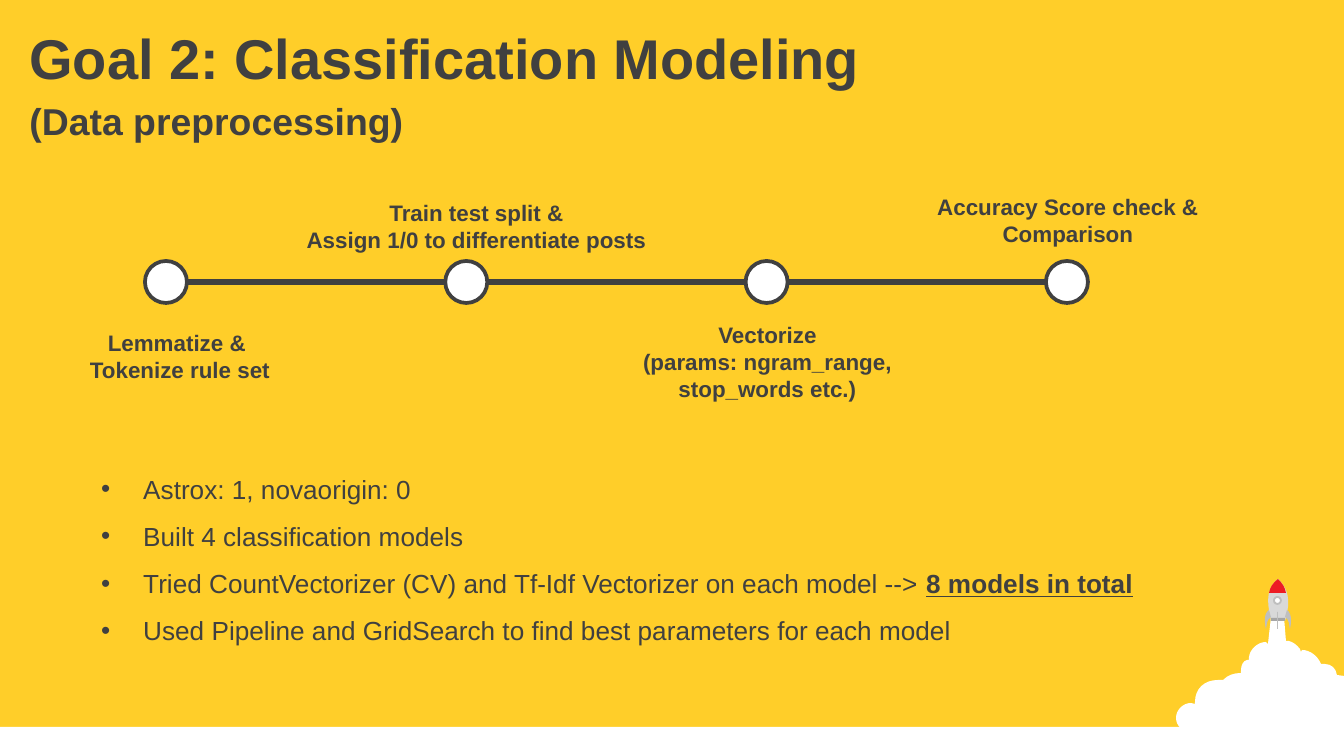
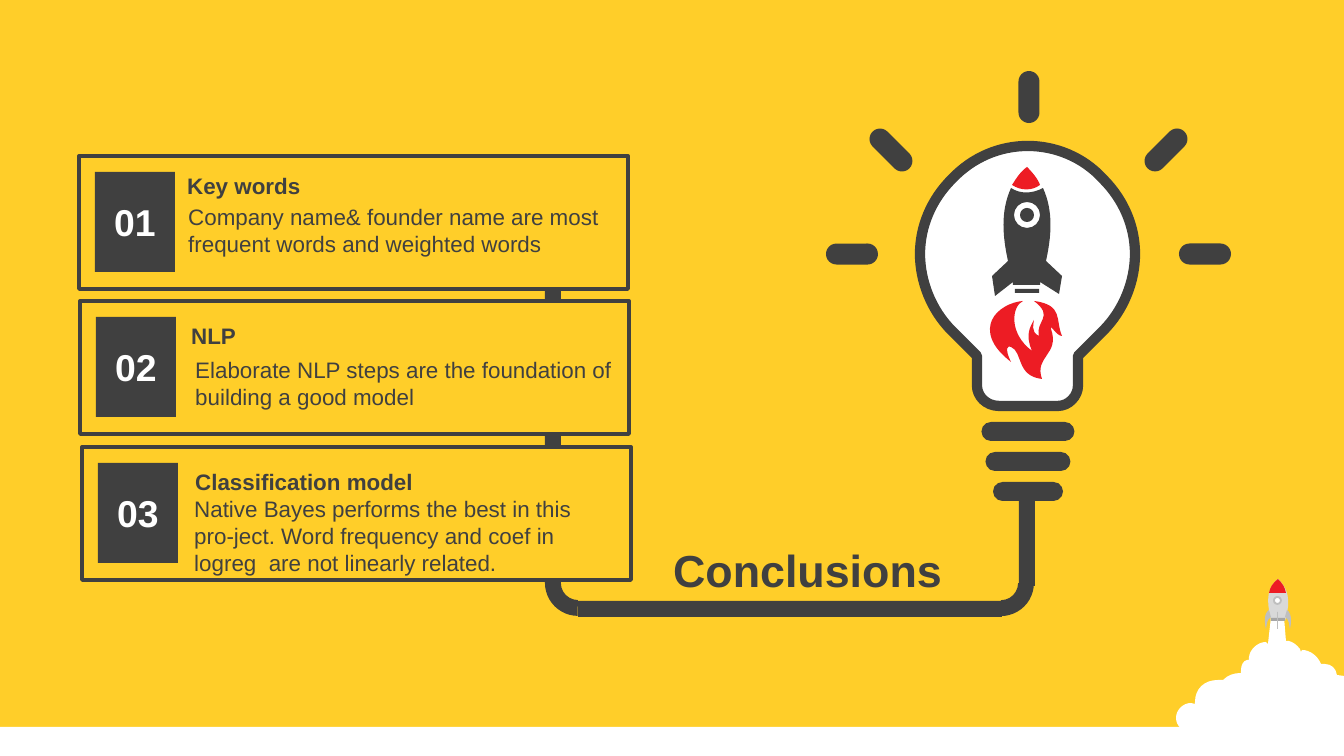
from lxml import etree
from pptx import Presentation
from pptx import util as u
from pptx.dml.color import RGBColor
from pptx.enum import shapes, text
from pptx.oxml import ns

PX = 914400 / 134.4
WIDTH, HEIGHT = 1344, 756
FONT = "Arial"
YELLOW = RGBColor(0xFF, 0xCE, 0x29)
INK = RGBColor(0x40, 0x40, 0x40)
WHITE = RGBColor(0xFF, 0xFF, 0xFF)
RED = RGBColor(0xED, 0x1C, 0x24)
PALE = RGBColor(0xD9, 0xD9, 0xD9)
SILVER = RGBColor(0xBF, 0xBF, 0xBF)
STEEL = RGBColor(0xA6, 0xA6, 0xA6)

KIND = shapes.MSO_SHAPE
ALIGN = text.PP_ALIGN
ANCHOR = text.MSO_ANCHOR

CLOUD = [
    (1271, 617), (1284, 617), (1286, 641), (1289, 641),
    (1293, 642, 1297, 645, 1300, 649), (1301, 652), (1302, 650),
    (1310, 650, 1318, 656, 1321, 664), (1325, 664),
    (1331, 664, 1336, 668, 1337, 675), (1344, 676), (1344, 754),
    (1191, 754), (1191, 732), (1183, 732, 1176, 726, 1176, 718),
    (1176, 710, 1183, 703, 1191, 703), (1195, 704), (1195, 702),
    (1195, 689, 1204, 680, 1218, 680), (1223, 680),
    (1228, 675, 1234, 673, 1241, 673), (1241, 671),
    (1241, 665, 1243, 661, 1247, 660), (1249, 660), (1249, 657),
    (1250, 649, 1258, 642, 1266, 642), (1268, 644),
]
SMALL_HULL = [(1271, 621), (1269, 609, 1263, 591, 1278, 579),
              (1293, 593, 1288, 610, 1285, 621)]
SMALL_NOSE = [(1278, 579), (1282, 583, 1285, 587, 1286, 593), (1269, 593),
              (1270, 587, 1273, 583, 1278, 579)]
SMALL_FIN = [(1269, 610), (1271, 617), (1266, 620, 1267, 626, 1266, 629),
             (1265, 625, 1263, 614, 1269, 610)]
BULB = [
    (1028, 146), (1055, 146, 1083, 157, 1103, 179),
    (1124, 200, 1135, 227, 1135, 254), (1135, 281, 1124, 310, 1103, 331),
    (1078, 356), (1078, 386), (1078, 396, 1069, 406, 1058, 406), (999, 406),
    (986, 406, 977, 396, 977, 386), (977, 356), (952, 331),
    (931, 310, 920, 281, 920, 254), (920, 227, 931, 200, 952, 179),
    (973, 157, 1000, 146, 1028, 146),
]
HULL = [
    (1011, 188), (1020, 194, 1032, 194, 1043, 188),
    (1054, 212, 1051, 238, 1046, 261), (1062, 276), (1059, 294),
    (1040, 282), (1040, 285), (1013, 285), (1013, 282), (995, 296),
    (992, 276), (1008, 261), (1003, 238, 1000, 212, 1011, 188),
]
NOZZLE = [(1015, 289), (1039, 289), (1039, 293), (1015, 293)]
NOSE = [(1027, 167), (1032, 172, 1038, 179, 1040, 185),
        (1032, 191, 1021, 191, 1012, 185), (1016, 179, 1020, 172, 1027, 167)]
FLAME = [
    (1023, 301), (1012, 306, 1008, 333, 1032, 351),
    (1025, 335, 1030, 327, 1034, 320), (1034, 323, 1030, 332, 1039, 336),
    (1035, 321, 1055, 317, 1034, 301), (1064, 305, 1055, 320, 1062, 336),
    (1056, 336, 1050, 323, 1051, 329), (1060, 355, 1034, 356, 1042, 379),
    (1016, 376, 1023, 352, 1011, 347), (1008, 345, 1004, 348, 1011, 362),
    (990, 346, 987, 331, 992, 320), (997, 309, 1011, 302, 1023, 301),
]

STEPS = [
    ((69, 323, 222, 67), ["Lemmatize & ", "Tokenize rule set"]),
    ((281, 193, 391, 67),
     ["Train test split &", "Assign 1/0 to differentiate posts"]),
    ((602, 315, 331, 95),
     ["Vectorize", "(params: ngram_range,", "stop_words etc.)"]),
    ((908, 187, 320, 67), ["Accuracy Score check &", "Comparison"]),
]
NOTES = [
    "Astrox: 1, novaorigin: 0",
    "Built 4 classification models",
    ("Tried CountVectorizer (CV) and Tf-Idf Vectorizer on each model --> ",
     "8 models in total"),
    "Used Pipeline and GridSearch to find best parameters for each model",
]
CARDS = [
    ("Key words", (174, 166), (175, 197),
     "Company name& founder name are most frequent words and weighted words"),
    ("NLP", (178, 316), (182, 350),
     "Elaborate NLP steps are the foundation of building a good model"),
    ("Classification model", (182, 462), (181, 489),
     "Native Bayes performs the best in this pro-ject. Word frequency and "
     "coef in logreg  are not linearly related."),
]
RAYS = [(852, 254, 270), (891, 150, 315), (1029, 97, 0),
        (1166, 150, 45), (1205, 254, 90)]


def px(length):
    """Turn pixels into EMU."""
    return u.Emu(round(length * PX))


def write(box, lines, size=12, bold=False, color=INK, align=ALIGN.LEFT,
          anchor=ANCHOR.TOP, leading=None):
    """Fill a box with paragraphs; spans after the first are emphasised."""
    frame = box.text_frame
    frame.word_wrap = True
    frame.auto_size = text.MSO_AUTO_SIZE.NONE
    frame.vertical_anchor = anchor
    for index, line in enumerate(lines):
        para = frame.add_paragraph() if index else frame.paragraphs[0]
        para.alignment = align
        if leading:
            para.line_spacing = leading
        spans = (line,) if isinstance(line, str) else line
        for place, words in enumerate(spans):
            span = para.add_run()
            span.text = words
            span.font.name = FONT
            span.font.size = u.Pt(size)
            span.font.color.rgb = color
            span.font.bold = bold or place > 0
            span.font.underline = place > 0
    return frame.paragraphs


def add_text(page, at, lines, **format):
    """Add a text box."""
    box = page.shapes.add_textbox(*map(px, at))
    return write(box, lines, **format)


def add_title(page, at, lines, **format):
    """Place the title placeholder and write into it."""
    title = page.shapes.title
    title.left, title.top, title.width, title.height = map(px, at)
    return write(title, lines, bold=True, **format)


def paint(shape, fill, line=None, weight=2):
    """Give a shape its fill and outline, without shadow."""
    shape.shadow.inherit = False
    shape.fill.solid()
    shape.fill.fore_color.rgb = fill
    if line is None:
        shape.line.fill.background()
    else:
        shape.line.color.rgb = line
        shape.line.width = u.Pt(weight)
    return shape


def add_preset(page, kind, at, fill, line=None, weight=2, turn=0, adjust=()):
    """Add a preset shape."""
    shape = page.shapes.add_shape(kind, *map(px, at))
    shape.rotation = turn
    for index, value in enumerate(adjust):
        shape.adjustments[index] = value
    return paint(shape, fill, line, weight)


def add_pill(page, at, turn=0):
    """Add a dark bar with round ends."""
    add_preset(page, KIND.ROUNDED_RECTANGLE, at, INK, turn=turn, adjust=[0.5])


def add_outline(page, *contours, fill, line=None, weight=2):
    """Add a freeform; steps of six numbers become cubic curves."""
    builder = page.shapes.build_freeform(*map(px, contours[0][0]))
    for index, contour in enumerate(contours):
        ends = [tuple(map(px, step[-2:])) for step in contour]
        if index:
            builder.move_to(*ends[0])
        builder.add_line_segments(ends[1:], close=True)
    shape = builder.convert_to_shape()
    nodes = shape._element.xpath(".//a:moveTo | .//a:lnTo")
    for node, step in zip(nodes, sum(contours, [])):
        if len(step) == 6:
            node.tag = ns.qn("a:cubicBezTo")
            for place in (0, 1):
                x, y = step[2 * place:2 * place + 2]
                point = etree.Element(ns.qn("a:pt"), x=str(px(x) - shape.left),
                                      y=str(px(y) - shape.top))
                node.insert(place, point)
    return paint(shape, fill, line, weight)


def circle(x, y, radius):
    """Return a circle as four curves."""
    r, k = radius, 0.55 * radius
    return [(x, y - r), (x + k, y - r, x + r, y - k, x + r, y),
            (x + r, y + k, x + k, y + r, x, y + r),
            (x - k, y + r, x - r, y + k, x - r, y),
            (x - r, y - k, x - k, y - r, x, y - r)]


def mirror(outline, axis):
    """Reflect an outline about a vertical axis."""
    return [tuple(value if index % 2 else 2 * axis - value
                  for index, value in enumerate(step)) for step in outline]


def add_line(page, start, end, weight):
    """Add a straight dark line."""
    line = page.shapes.add_connector(
        shapes.MSO_CONNECTOR.STRAIGHT, *map(px, start + end))
    line.line.color.rgb = INK
    line.line.width = u.Pt(weight)
    etree.SubElement(line._element.spPr, ns.qn("a:effectLst"))


def add_bullet(para, indent):
    """Give a paragraph a hanging bullet."""
    props = para._p.get_or_add_pPr()
    props.set("marL", str(px(indent)))
    props.set("indent", str(px(-indent)))
    etree.SubElement(props, ns.qn("a:buFont"), typeface=FONT)
    etree.SubElement(props, ns.qn("a:buChar"), char="•")


def add_page(deck):
    """Add a title-only page with the ground band and launching rocket."""
    page = deck.slides.add_slide(deck.slide_layouts[5])
    add_preset(page, KIND.RECTANGLE, (0, 727, WIDTH, 29), WHITE)
    add_outline(page, CLOUD, fill=WHITE)
    add_outline(page, SMALL_HULL, fill=PALE)
    add_preset(page, KIND.RECTANGLE, (1271, 618, 14, 3), STEEL)
    add_outline(page, SMALL_NOSE, fill=RED)
    add_preset(page, KIND.OVAL, (1274, 597, 7, 7), WHITE, SILVER, 1)
    add_preset(page, KIND.RECTANGLE, (1277, 612, 1, 17), SILVER)
    for fin in (SMALL_FIN, mirror(SMALL_FIN, 1278)):
        add_outline(page, fin, fill=SILVER)
    return page


def add_timeline(page):
    """Draw the line of steps with their labels."""
    left, middle, length, size = 166, 282, 901, 42
    add_line(page, (left, middle), (left + length, middle), 3)
    for index, (at, lines) in enumerate(STEPS):
        center = left + length * index / (len(STEPS) - 1)
        dot = (center - size / 2, middle - size / 2, size, size)
        add_preset(page, KIND.OVAL, dot, WHITE, INK)
        add_text(page, at, lines, bold=True, align=ALIGN.CENTER)


def add_cable(page):
    """Draw the cable from the cards to the bulb."""
    for at in ((545, 176, 16, 407), (578, 601, 424, 16), (1019, 501, 16, 85)):
        add_preset(page, KIND.RECTANGLE, at, INK)
    for left, turn in ((545, 0), (968, 270)):
        add_preset(page, KIND.BLOCK_ARC, (left, 550, 66, 66), INK, turn=turn,
                   adjust=[54.32, 108.17, 0.24])


def add_card(page, index, heading, heading_at, body_at, body):
    """Draw one numbered conclusion."""
    left, top = 79 + 3 * index // 2, 156 + 291 * index // 2
    add_preset(page, KIND.RECTANGLE, (left, top, 549, 133), YELLOW, INK)
    badge = add_preset(page, KIND.RECTANGLE,
                       (left + 16, top + 16, 80, 100), INK)
    write(badge, [f"{index + 1:02}"], size=20, bold=True, color=WHITE,
          align=ALIGN.CENTER, anchor=ANCHOR.MIDDLE)
    add_text(page, (*body_at, 446, 67), [body])
    add_text(page, (*heading_at, 423, 40), [heading], bold=True)


def add_bulb(page):
    """Draw the bulb, its base and rays, and the rocket inside."""
    add_outline(page, BULB, fill=WHITE, line=INK, weight=5.5)
    for index, width in enumerate((93, 85, 70)):
        add_pill(page, (1028 - width / 2, 422 + 30 * index, width, 19))
    for x, y, turn in RAYS:
        add_pill(page, (x - 10.5, y - 26, 21, 52), turn)
    add_outline(page, NOZZLE, circle(1027, 215, 7), circle(1027, 215, 13),
                HULL, fill=INK)
    add_outline(page, NOSE, fill=RED)
    add_outline(page, FLAME, fill=RED)


def main():
    """Build the two slides."""
    deck = Presentation()
    deck.slide_width, deck.slide_height = px(WIDTH), px(HEIGHT)
    ground = deck.slide_master.background.fill
    ground.solid()
    ground.fore_color.rgb = YELLOW

    page = add_page(deck)
    _, subtitle = add_title(
        page, (16, 17, 1328, 130),
        ["Goal 2: Classification Modeling", "(Data preprocessing)"], size=30)
    subtitle.space_before = u.Pt(4)
    subtitle.runs[0].font.size = u.Pt(20)
    add_timeline(page)
    for para in add_text(page, (88, 451, 1071, 198), NOTES, size=14,
                         leading=1.5):
        add_bullet(para, 42)

    page = add_page(deck)
    add_title(page, (653, 536, 309, 67), ["Conclusions"], size=24,
              align=ALIGN.CENTER)
    add_cable(page)
    for index, card in enumerate(CARDS):
        add_card(page, index, *card)
    add_bulb(page)
    deck.save("out.pptx")


if __name__ == "__main__":
    main()
